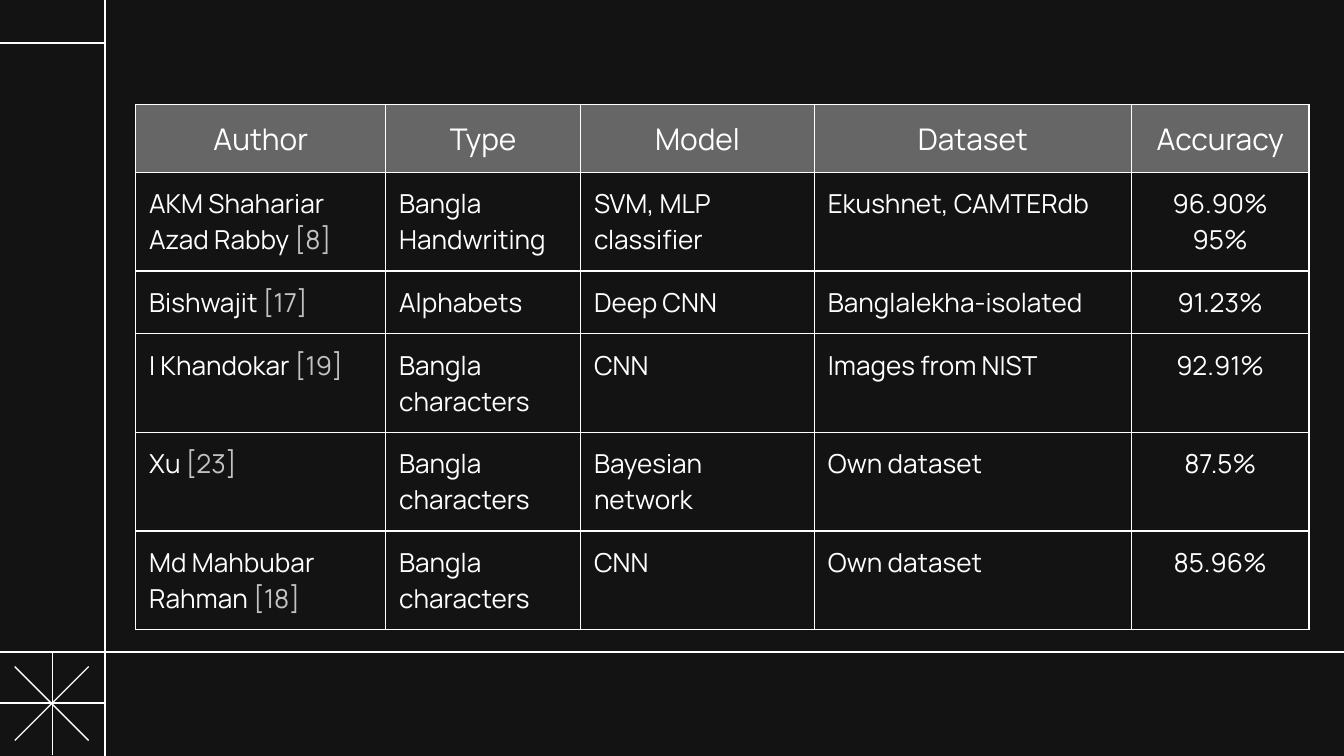
import pptx
import pptx.dml.color
import pptx.enum.shapes
import pptx.enum.text
import pptx.oxml
import pptx.oxml.ns
import pptx.util
from pptx.util import Inches

RGBColor = pptx.dml.color.RGBColor
BACKGROUND = RGBColor(0x13, 0x13, 0x13)
WHITE = RGBColor(0xFF, 0xFF, 0xFF)
HEADER_GRAY = RGBColor(0x66, 0x66, 0x66)
CITATION_GRAY = RGBColor(0xC2, 0xC2, 0xC2)
FONT = "Manrope"
LINE_WIDTH = pptx.util.Pt(0.75)

FRAME_LINES = [
    (0.78, 5.72, 0.78, -0.1),
    (10.2, 4.85, -0.1, 4.85),
    (0.78, 0.32, -0.1, 0.32),
]
STAR_LINES = [
    (0.39, 5.62, 0.39, 4.85),
    (0.11, 5.51, 0.66, 4.96),
    (0.11, 4.96, 0.66, 5.51),
    (0.78, 5.23, 0, 5.23),
]

COLUMN_WIDTHS = [1.86, 1.45, 1.74, 2.36, 1.32]
ROW_HEIGHT = 0.42
HEADERS = ["Author", "Type", "Model", "Dataset", "Accuracy"]
STUDIES = [
    ["AKM Shahariar Azad Rabby [8]", "Bangla Handwriting", "SVM, MLP classifier",
     "Ekushnet, CAMTERdb", "96.90%\n95%"],
    ["Bishwajit [17]", "Alphabets", "Deep CNN", "Banglalekha-isolated", "91.23%"],
    ["I Khandokar [19]", "Bangla characters", "CNN", "Images from NIST", "92.91%"],
    ["Xu [23]", "Bangla characters", "Bayesian network", "Own dataset", "87.5%"],
    ["Md Mahbubar Rahman [18]", "Bangla characters", "CNN", "Own dataset", "85.96%"],
]


def add_line(slide, start_x, start_y, end_x, end_y):
    """Draw a thin white straight line without a shadow."""
    line = slide.shapes.add_connector(
        pptx.enum.shapes.MSO_CONNECTOR.STRAIGHT,
        Inches(start_x), Inches(start_y), Inches(end_x), Inches(end_y))
    line.line.color.rgb = WHITE
    line.line.width = LINE_WIDTH
    properties = line._element.spPr
    properties.append(properties.makeelement(pptx.oxml.ns.qn("a:effectLst"), {}))


def add_borders(cell):
    """Give all four sides of a cell a white border."""
    properties = cell._tc.get_or_add_tcPr()
    for side in ("lnL", "lnR", "lnT", "lnB"):
        properties.append(pptx.oxml.parse_xml(
            f'<a:{side} {pptx.oxml.ns.nsdecls("a")} w="{LINE_WIDTH}">'
            f'<a:solidFill><a:srgbClr val="{WHITE}"/></a:solidFill></a:{side}>'))


def format_run(run, size, color):
    """Set the font, size and colour of a run."""
    run.font.name = FONT
    run.font.size = pptx.util.Pt(size)
    run.font.color.rgb = color


def fill_cell(cell, text, is_header, centred):
    """Write a cell, with any bracketed citation in gray."""
    cell.margin_left = cell.margin_right = Inches(0.1)
    cell.margin_top = cell.margin_bottom = Inches(0.1)
    add_borders(cell)
    if is_header:
        cell.fill.solid()
        cell.fill.fore_color.rgb = HEADER_GRAY
    else:
        cell.fill.background()
    label, bracket, number = text.partition("[")
    cell.text_frame.text = label
    size = 16 if is_header else 14
    for paragraph in cell.text_frame.paragraphs:
        if centred:
            paragraph.alignment = pptx.enum.text.PP_ALIGN.CENTER
        for run in paragraph.runs:
            format_run(run, size, WHITE)
    if bracket:
        citation = cell.text_frame.paragraphs[-1].add_run()
        citation.text = bracket + number
        format_run(citation, size, CITATION_GRAY)


def add_study_table(slide):
    """Add the comparison table of studies."""
    rows = [HEADERS] + STUDIES
    table = slide.shapes.add_table(
        len(rows), len(HEADERS), Inches(1.01), Inches(0.78),
        Inches(sum(COLUMN_WIDTHS)), Inches(ROW_HEIGHT * len(rows))).table
    table.first_row = False
    table.horz_banding = False
    for column, width in zip(table.columns, COLUMN_WIDTHS):
        column.width = Inches(width)
    for row_index, texts in enumerate(rows):
        table.rows[row_index].height = Inches(ROW_HEIGHT)
        is_header = row_index == 0
        for column_index, text in enumerate(texts):
            centred = is_header or HEADERS[column_index] == "Accuracy"
            fill_cell(table.cell(row_index, column_index), text, is_header, centred)


def main():
    """Build the slide and save it."""
    presentation = pptx.Presentation()
    presentation.slide_width = Inches(10)
    presentation.slide_height = Inches(10) * 9 // 16
    slide = presentation.slides.add_slide(presentation.slide_layouts[6])
    slide.background.fill.solid()
    slide.background.fill.fore_color.rgb = BACKGROUND
    for ends in FRAME_LINES + STAR_LINES:
        add_line(slide, *ends)
    add_study_table(slide)
    presentation.save("out.pptx")


if __name__ == "__main__":
    main()
